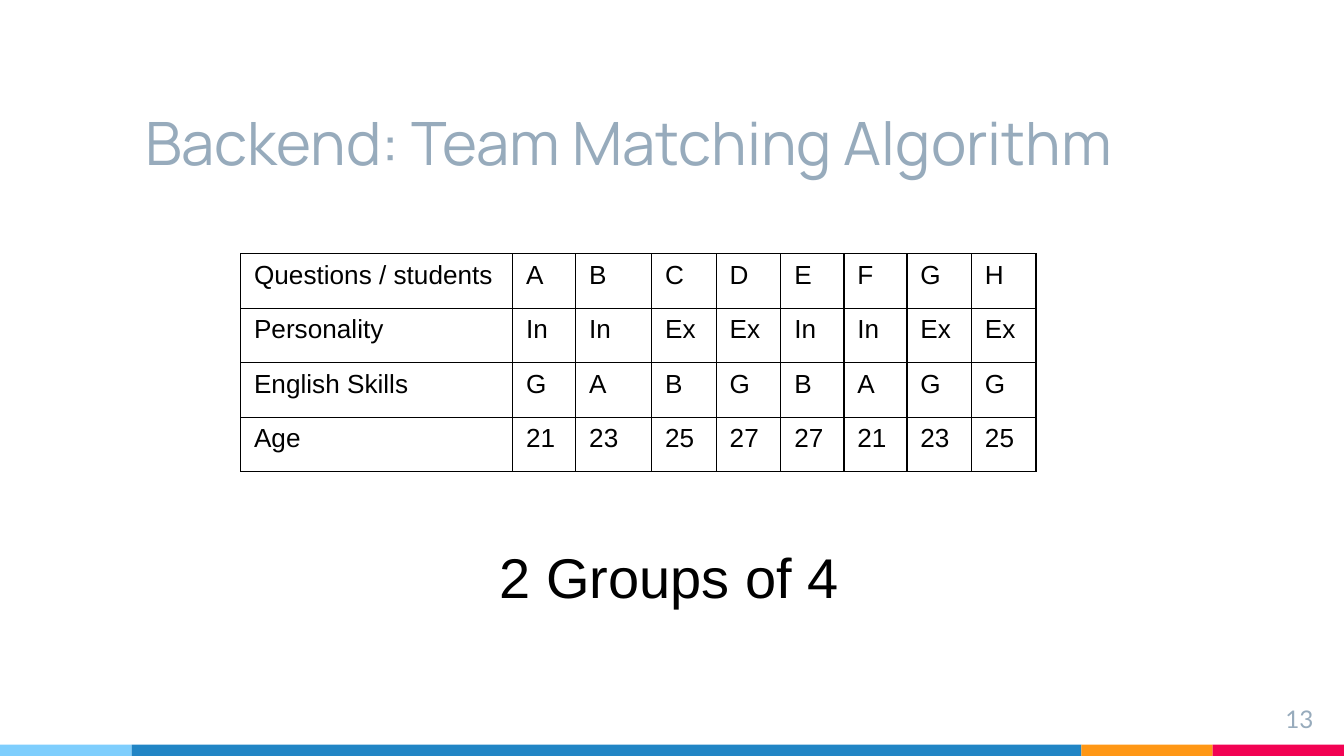
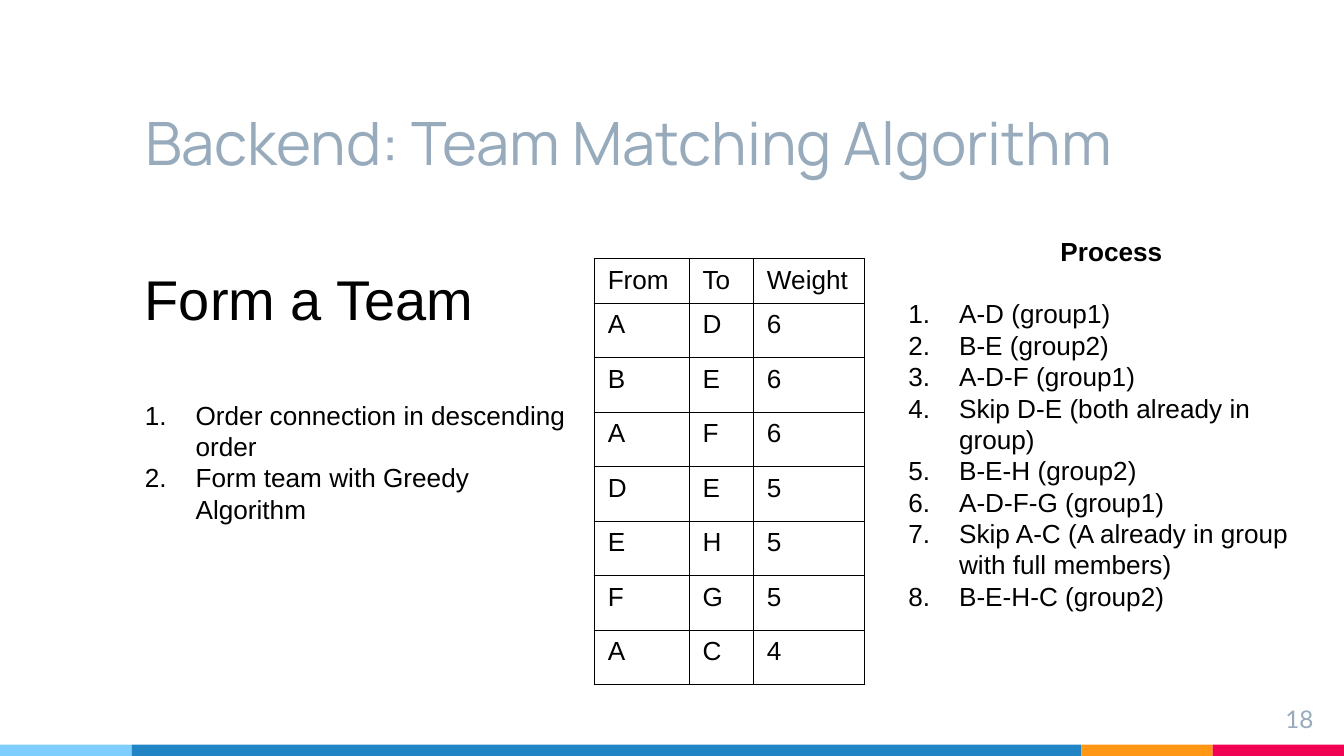
from dataclasses import dataclass

from lxml.etree import SubElement
from pptx import Presentation
from pptx.dml.color import RGBColor
from pptx.enum.shapes import MSO_SHAPE
from pptx.enum.text import MSO_ANCHOR, MSO_AUTO_SIZE, PP_ALIGN
from pptx.oxml.ns import qn
from pptx.util import Pt


@dataclass(frozen=True)
class Theme:
    ink: str = "000000"
    muted: str = "97ABBC"
    sky: str = "7ECEFD"
    blue: str = "2185C5"
    orange: str = "FF9715"
    pink: str = "F20253"
    body_font: str = "Arial"
    title_font: str = "Manrope"
    number_font: str = "Lato"
    title_size: float = 32
    heading_size: float = 30
    body_size: float = 14
    number_size: float = 13


THEME = Theme()
WIDTH, HEIGHT = 720, 405
TITLE = "Backend: Team Matching Algorithm"
ROW_HEIGHT = 29.2
HEADER_HEIGHT = 23.5
LIST_INDENT = 27.2
LINE = 1.2  # height of one text line relative to its type size

STUDENT_WIDTHS = [145.8, 33.8, 40.7, 34.6, 34.6, 33.8, 33.8, 34.6, 34.6]
STUDENT_ROWS = [
    ["Questions / students", *"ABCDEFGH"],
    ["Personality", "In", "In", "Ex", "Ex", "In", "In", "Ex", "Ex"],
    ["English Skills", *"GABGBAGG"],
    ["Age", "21", "23", "25", "27", "27", "21", "23", "25"],
]

CONNECTION_WIDTHS = [50.8, 34.5, 59.3]
CONNECTION_ROWS = [
    ["From", "To", "Weight"],
    *map(list, ["AD6", "BE6", "AF6", "DE5", "EH5", "FG5", "AC4"]),
]

TEAM_STEPS = [
    "Order connection in descending order",
    "Form team with Greedy Algorithm",
]
PROCESS_STEPS = [
    "A-D (group1)",
    "B-E (group2)",
    "A-D-F (group1)",
    "Skip D-E (both already in group)",
    "B-E-H (group2)",
    "A-D-F-G (group1)",
    "Skip A-C (A already in group with full members)",
    "B-E-H-C (group2)",
]


def write(paragraph, text, *, size=THEME.body_size, font=THEME.body_font,
          color=THEME.ink, bold=False, align=PP_ALIGN.LEFT, before=0):
    paragraph.alignment = align
    paragraph.space_before = Pt(before)
    run = paragraph.add_run()
    run.text = text
    run.font.size = Pt(size)
    run.font.name = font
    run.font.bold = bold
    run.font.color.rgb = RGBColor.from_string(color)


def set_insets(frame, inset):
    frame.margin_left = frame.margin_right = Pt(inset)
    frame.margin_top = frame.margin_bottom = Pt(inset)


def add_text_frame(slide, left, top, width, height):
    box = slide.shapes.add_textbox(Pt(left), Pt(top), Pt(width), Pt(height))
    box.text_frame.word_wrap = True
    return box.text_frame


def number_paragraph(paragraph):
    """Give the paragraph an automatic number with a hanging indent."""
    properties = paragraph._p.get_or_add_pPr()
    properties.set("marL", str(Pt(LIST_INDENT)))
    properties.set("indent", str(-Pt(LIST_INDENT)))
    color = SubElement(properties, qn("a:buClr"))
    SubElement(color, qn("a:srgbClr"), val=THEME.ink)
    SubElement(properties, qn("a:buFont"), typeface=THEME.body_font)
    SubElement(properties, qn("a:buAutoNum"), type="arabicPeriod")


def add_headed_list(slide, area, heading, steps, **heading_format):
    """Put a heading and, one heading line below it, numbered steps."""
    frame = add_text_frame(slide, *area)
    write(frame.paragraphs[0], heading, **heading_format)
    gap = heading_format.get("size", THEME.body_size) * LINE
    for index, step in enumerate(steps):
        paragraph = frame.add_paragraph()
        write(paragraph, step, before=0 if index else gap)
        number_paragraph(paragraph)


def add_borders(cell):
    properties = cell._tc.get_or_add_tcPr()
    for side in ("lnL", "lnR", "lnT", "lnB"):
        line = SubElement(properties, qn(f"a:{side}"), w=str(Pt(0.75)))
        fill = SubElement(line, qn("a:solidFill"))
        SubElement(fill, qn("a:srgbClr"), val=THEME.ink)


def add_grid(slide, left, top, widths, rows, header_height=ROW_HEIGHT):
    heights = [header_height] + [ROW_HEIGHT] * (len(rows) - 1)
    table = slide.shapes.add_table(
        len(rows), len(widths), Pt(left), Pt(top),
        Pt(sum(widths)), Pt(sum(heights))).table
    table.first_row = table.horz_banding = False
    for column, width in zip(table.columns, widths):
        column.width = Pt(width)
    for row, height, texts in zip(table.rows, heights, rows):
        row.height = Pt(height)
        for cell, text in zip(row.cells, texts):
            write(cell.text_frame.paragraphs[0], text)
            add_borders(cell)
            cell.fill.background()


def add_footer_band(slide):
    edges = [0, 70.5, 579.3, 649.7, WIDTH]
    colors = [THEME.sky, THEME.blue, THEME.orange, THEME.pink]
    top = 399
    for left, right, color in zip(edges, edges[1:], colors):
        shape = slide.shapes.add_shape(
            MSO_SHAPE.RECTANGLE, Pt(left), Pt(top),
            Pt(right - left), Pt(HEIGHT - top))
        shape.shadow.inherit = False
        shape.fill.solid()
        shape.fill.fore_color.rgb = RGBColor.from_string(color)
        shape.line.fill.background()


def add_title(slide, text):
    title = slide.shapes.title
    title.left, title.top = Pt(70.5), Pt(34.5)
    title.width, title.height = Pt(586), Pt(67.7)
    frame = title.text_frame
    frame.auto_size = MSO_AUTO_SIZE.NONE
    frame.word_wrap = True
    frame.vertical_anchor = MSO_ANCHOR.BOTTOM
    set_insets(frame, 7.2)
    write(frame.paragraphs[0], text, size=THEME.title_size,
          font=THEME.title_font, color=THEME.muted)


def add_page_number(slide, number):
    frame = add_text_frame(slide, 667.5, 370, 43.2, 24.5)
    set_insets(frame, 7.2)
    write(frame.paragraphs[0], str(number), size=THEME.number_size,
          font=THEME.number_font, color=THEME.muted, align=PP_ALIGN.RIGHT)


def add_base_slide(presentation, number):
    """Add a slide with the shared band, title and page number."""
    slide = presentation.slides.add_slide(presentation.slide_layouts[5])
    add_footer_band(slide)
    add_title(slide, TITLE)
    add_page_number(slide, number)
    return slide


def build_students_slide(presentation):
    slide = add_base_slide(presentation, 13)
    add_grid(slide, 128.9, 136, STUDENT_WIDTHS, STUDENT_ROWS)
    frame = add_text_frame(slide, 260.6, 287.3, 219, 44)
    write(frame.paragraphs[0], "2 Groups of 4", size=THEME.heading_size)


def build_team_slide(presentation):
    slide = add_base_slide(presentation, 18)
    add_headed_list(slide, (70.5, 138.2, 247.7, 165), "Form a Team",
                    TEAM_STEPS, size=THEME.heading_size)
    add_grid(slide, 318.4, 138.5, CONNECTION_WIDTHS, CONNECTION_ROWS,
             header_height=HEADER_HEIGHT)
    add_headed_list(slide, (479.5, 122.4, 231.8, 244.8), "Process",
                    PROCESS_STEPS, bold=True, align=PP_ALIGN.CENTER)


def main():
    presentation = Presentation()
    presentation.slide_width = Pt(WIDTH)
    presentation.slide_height = Pt(HEIGHT)
    build_students_slide(presentation)
    build_team_slide(presentation)
    presentation.save("out.pptx")


if __name__ == "__main__":
    main()
